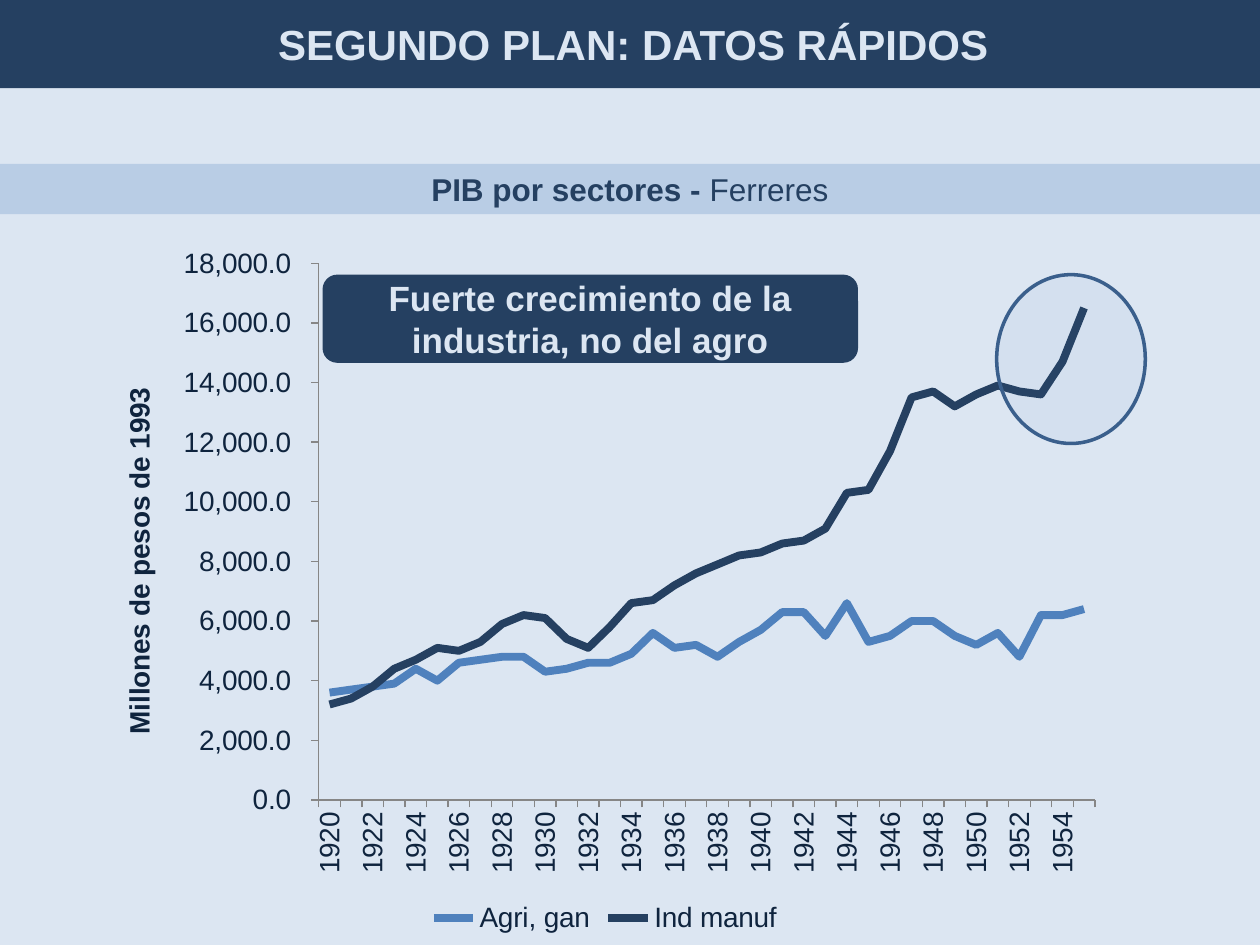
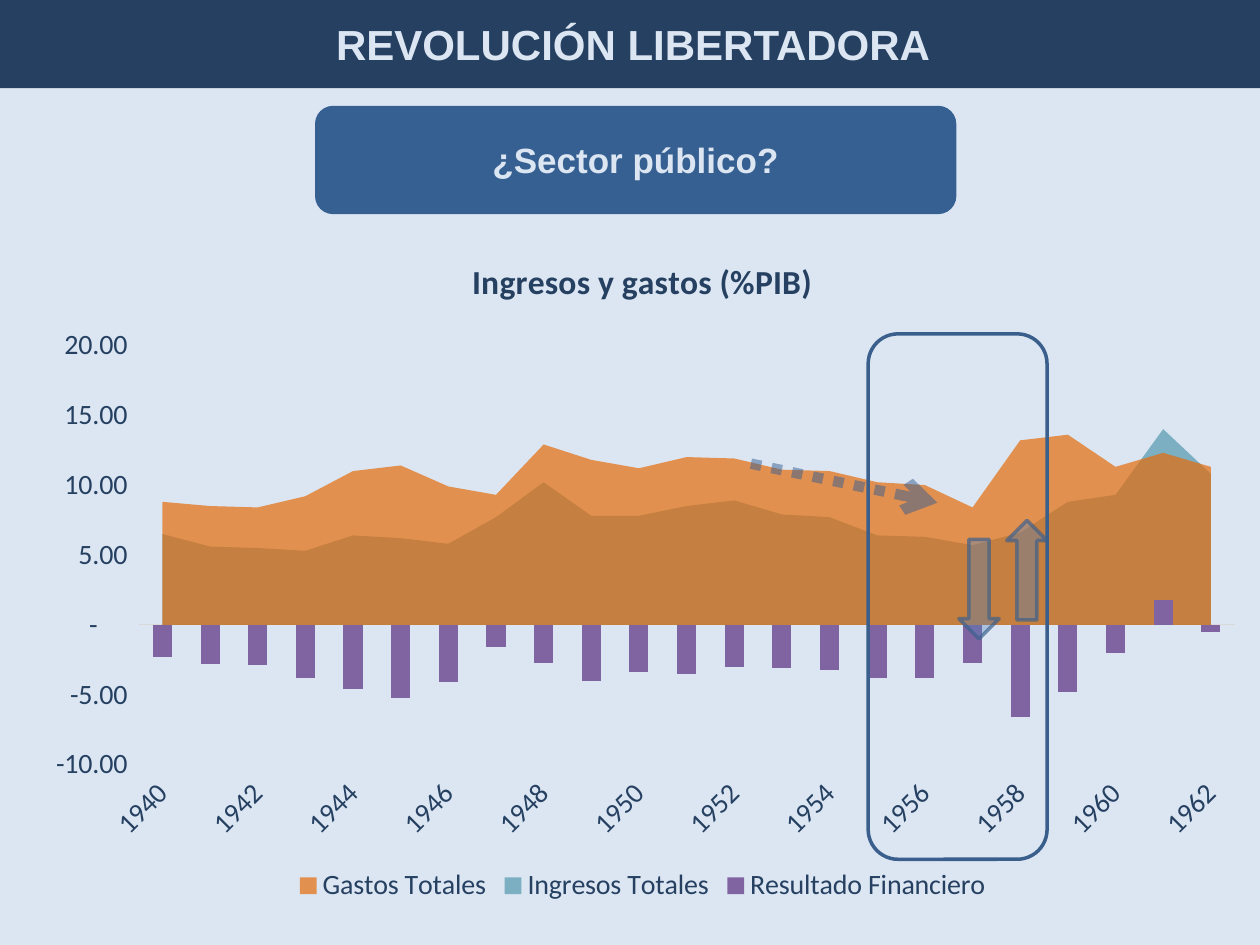
from copy import deepcopy

from lxml import etree
from pptx import Presentation
from pptx.chart.data import CategoryChartData as Data
from pptx.dml.color import RGBColor
from pptx.enum.chart import XL_CHART_TYPE as Kind
from pptx.enum.chart import XL_LEGEND_POSITION as Spot
from pptx.enum.chart import XL_MARKER_STYLE as Mark
from pptx.enum.chart import XL_TICK_LABEL_POSITION as Labels
from pptx.enum.chart import XL_TICK_MARK as Tick
from pptx.enum.dml import MSO_LINE as Dash
from pptx.enum.shapes import MSO_CONNECTOR as Link
from pptx.enum.shapes import MSO_SHAPE as Form
from pptx.enum.text import MSO_ANCHOR as Anchor
from pptx.enum.text import PP_ALIGN as Align
from pptx.oxml import parse_xml
from pptx.oxml.ns import nsdecls, qn
from pptx.util import Inches, Pt

PALE, SKY, BLUE, MID = "DCE6F2", "B9CDE5", "4F81BD", "376092"
NAVY, INK, EDGE, GRAY = "254061", "0F243E", "3A5F8C", "868686"

AGRO = [3600, 3700, 3800, 3900, 4400, 4000, 4600, 4700, 4800, 4800, 4300, 4400,
        4600, 4600, 4900, 5600, 5100, 5200, 4800, 5300, 5700, 6300, 6300, 5500,
        6600, 5300, 5500, 6000, 6000, 5500, 5200, 5600, 4800, 6200, 6200, 6400]
MANUF = [3200, 3400, 3800, 4400, 4700, 5100, 5000, 5300, 5900, 6200, 6100, 5400,
         5100, 5800, 6600, 6700, 7200, 7600, 7900, 8200, 8300, 8600, 8700, 9100,
         10300, 10400, 11700, 13500, 13700, 13200, 13600, 13900, 13700, 13600,
         14700, 16500]
SPEND = [8.8, 8.5, 8.4, 9.2, 11, 11.4, 9.9, 9.3, 12.9, 11.8, 11.2, 12, 11.9,
         11.1, 11, 10.2, 10, 8.4, 13.2, 13.6, 11.3, 12.3, 11.3]
INCOME = [6.5, 5.6, 5.5, 5.3, 6.4, 6.2, 5.8, 7.7, 10.2, 7.8, 7.8, 8.5, 8.9,
          7.9, 7.7, 6.4, 6.3, 5.7, 6.6, 8.8, 9.3, 14, 10.8]
RESULT = [-2.3, -2.8, -2.9, -3.8, -4.6, -5.2, -4.1, -1.6, -2.7, -4, -3.4, -3.5,
          -3, -3.1, -3.2, -3.8, -3.8, -2.7, -6.6, -4.8, -2, 1.8, -0.5]


def rgb(code):
    return RGBColor.from_string(code)


def put(item, **vals):
    """Set several attributes of an object."""
    for key, val in vals.items():
        setattr(item, key, val)


def style(font, color, size, name="Arial", bold=False):
    put(font, size=Pt(size), name=name, bold=bold)
    font.color.rgb = rgb(color)


def paint(fill, color):
    fill.solid()
    fill.fore_color.rgb = rgb(color)


def fade(node, pct):
    """Make the colour inside an XML node partly opaque."""
    tone = node.find(".//" + qn("a:srgbClr"))
    etree.SubElement(tone, qn("a:alpha")).set("val", str(pct * 1000))


def draw(line, color, width):
    line.color.rgb = rgb(color)
    line.width = Pt(width)


def add_form(slide, form, box, fill=None, clear=None, edge=None, haze=None):
    """Add a shape; clear and haze are the opacities of fill and outline."""
    shape = slide.shapes.add_shape(form, *map(Inches, box))
    shape.shadow.inherit = False
    props = shape._element.spPr
    if fill:
        paint(shape.fill, fill)
    else:
        shape.fill.background()
    if clear:
        fade(props.find(qn("a:solidFill")), clear)
    if edge:
        draw(shape.line, edge, 2)
    else:
        shape.line.fill.background()
    if haze:
        fade(props.find(qn("a:ln")), haze)
    return shape


def write(shape, parts, color, size):
    """Fill a shape with centred (text, bold) parts."""
    frame = shape.text_frame
    put(frame, word_wrap=True, vertical_anchor=Anchor.MIDDLE)
    para = frame.paragraphs[0]
    para.alignment = Align.CENTER
    for text, bold in parts:
        run = para.add_run()
        run.text = text
        style(run.font, color, size, bold=bold)


def add_label(slide, text, box, fill, size=20):
    shape = add_form(slide, Form.ROUNDED_RECTANGLE, box, fill)
    write(shape, [(text, True)], PALE, size)
    return shape


def add_page(deck):
    slide = deck.slides.add_slide(deck.slide_layouts[6])
    paint(slide.background.fill, PALE)
    return slide


def add_head(slide, text):
    bar = add_label(slide, text, (0, 0, 10.05, 0.7), NAVY, 24)
    bar.adjustments[0] = 0


def add_plot(slide, kind, box, start, series, color, name):
    """Add a chart by year with a bottom legend."""
    data = Data()
    data.categories = [str(start + i) for i in range(len(series[0][1]))]
    for label, vals in series:
        data.add_series(label, vals)
    chart = slide.shapes.add_chart(kind, *map(Inches, box), data).chart
    chart.has_title = False
    style(chart.font, color, 16, name)
    chart.has_legend = True
    put(chart.legend, position=Spot.BOTTOM, include_in_layout=False)
    style(chart.legend.font, color, 16, name)
    chart.plots[0].vary_by_categories = False
    return chart


def frame_plot(chart, box, area):
    """Place the inner plot area, both boxes in slide inches."""
    left, top, wide, high = box
    x, y, w, h = area
    parts = dict(x=(x - left) / wide, y=(y - top) / high, w=w / wide, h=h / high)
    sizes = "".join(f'<c:{k} val="{v:.4f}"/>' for k, v in parts.items())
    plot = chart._chartSpace.chart.plotArea
    for old in plot.findall(qn("c:layout")):
        plot.remove(old)
    plot.insert(0, parse_xml(
        f'<c:layout {nsdecls("c")}><c:manualLayout><c:layoutTarget val="inner"/>'
        f'<c:xMode val="edge"/><c:yMode val="edge"/>{sizes}'
        '</c:manualLayout></c:layout>'))


def set_axes(chart, scale, code, turn, tick, color, name):
    """Scale is (low, high, step); turn is the angle of the years."""
    years, vals = chart.category_axis, chart.value_axis
    for axis in (years, vals):
        put(axis, has_major_gridlines=False, major_tick_mark=tick,
            minor_tick_mark=Tick.NONE)
        style(axis.tick_labels.font, color, 16, name)
    low, high, step = scale
    put(vals, minimum_scale=low, maximum_scale=high, major_unit=step)
    put(vals.tick_labels, number_format=code, number_format_is_linked=False)
    node = years._element
    node.txPr.find(qn("a:bodyPr")).set("rot", str(turn * 60000))
    skip = parse_xml(f'<c:tickLblSkip {nsdecls("c")} val="2"/>')
    node.find(qn("c:noMultiLvlLbl")).addprevious(skip)
    node = vals._element
    for old in node.findall(qn("c:crossBetween")):
        node.remove(old)
    cross = parse_xml(f'<c:crossBetween {nsdecls("c")} val="between"/>')
    node.find(qn("c:crosses")).addnext(cross)


def set_title(item, text, color, size, name):
    item.has_title = True
    title = item.chart_title if hasattr(item, "chart_title") else item.axis_title
    run = title.text_frame.paragraphs[0].add_run()
    run.text = text
    style(run.font, color, size, name, True)


def to_bars(chart):
    """Turn the last area series into columns on the same axes."""
    area = chart.plots[0]._element
    last = area.findall(qn("c:ser"))[-1]
    bars = parse_xml(
        f'<c:barChart {nsdecls("c")}><c:barDir val="col"/>'
        '<c:grouping val="clustered"/><c:varyColors val="0"/>'
        '<c:gapWidth val="150"/></c:barChart>')
    bars.insert(3, last)
    for old in last.findall(qn("c:invertIfNegative")):
        last.remove(old)
    keep = parse_xml(f'<c:invertIfNegative {nsdecls("c")} val="0"/>')
    last.find(qn("c:spPr")).addnext(keep)
    bars.extend([deepcopy(i) for i in area.findall(qn("c:axId"))])
    area.addnext(bars)


def add_arrow(slide, start, end, color, width, clear):
    link = slide.shapes.add_connector(
        Link.STRAIGHT, *map(Inches, (*start, *end)))
    draw(link.line, color, width)
    link.line.dash_style = Dash.ROUND_DOT
    props = link._element.spPr
    line = props.find(qn("a:ln"))
    fade(line, clear)
    etree.SubElement(line, qn("a:tailEnd")).set("type", "arrow")
    etree.SubElement(props, qn("a:effectLst"))


def build_sectors(deck):
    slide = add_page(deck)
    box = (0.75, 1.86, 8.11, 5.59)
    chart = add_plot(slide, Kind.LINE, box, 1920,
                     [("Agri, gan", AGRO), ("Ind manuf", MANUF)], INK, "Arial")
    frame_plot(chart, box, (2.53, 2.09, 6.16, 4.26))
    set_axes(chart, (0, 18000, 2000), r"#,##0.0\ \ ", -90, Tick.OUTSIDE,
             INK, "Arial")
    set_title(chart.value_axis, "Millones de pesos de 1993", INK, 16, "Arial")
    for axis in (chart.category_axis, chart.value_axis):
        draw(axis.format.line, GRAY, 0.75)
    for ser, color in zip(chart.plots[0].series, (BLUE, NAVY)):
        ser.smooth = False
        ser.marker.style = Mark.NONE
        draw(ser.format.line, color, 4.5)

    band = add_form(slide, Form.RECTANGLE, (0, 1.3, 10, 0.4), SKY)
    write(band, [("PIB por sectores - ", True), ("Ferreres", False)], NAVY, 18)
    add_form(slide, Form.OVAL, (7.91, 2.18, 1.18, 1.34), BLUE, 5, EDGE)
    add_label(slide, "Fuerte crecimiento de la industria, no del agro",
              (2.56, 2.18, 4.25, 0.7), NAVY)
    add_head(slide, "SEGUNDO PLAN: DATOS RÁPIDOS")


def build_budget(deck):
    slide = add_page(deck)
    add_label(slide, "¿Sector público?", (2.5, 0.84, 5.09, 0.86), MID)
    box = (0.2, 1.84, 9.8, 5.37)
    chart = add_plot(slide, Kind.AREA, box, 1940,
                     [("Gastos Totales", SPEND), ("Ingresos Totales", INCOME),
                      ("Resultado Financiero", RESULT)], NAVY, "Calibri")
    frame_plot(chart, box, (1.1, 2.74, 8.7, 3.33))
    set_axes(chart, (-10, 20, 5),
             r'_ * #,##0.00_ ;_ * \-#,##0.00_ ;_ * "-"??_ ;_ @_ ', -45,
             Tick.NONE, NAVY, "Calibri")
    set_title(chart, "Ingresos y gastos (%PIB)", NAVY, 19.2, "Calibri")
    chart.category_axis.tick_label_position = Labels.LOW
    draw(chart.category_axis.format.line, "D9D9D9", 0.75)
    chart.value_axis.format.line.fill.background()
    tones = [("E46C0A", 70), ("31859C", 56), ("8064A2", 100)]
    for ser, (color, clear) in zip(chart.plots[0].series, tones):
        paint(ser.format.fill, color)
        fade(ser._element.find(qn("c:spPr")), clear)
    to_bars(chart)

    add_form(slide, Form.ROUNDED_RECTANGLE, (6.89, 2.65, 1.42, 4.17), edge=EDGE)
    add_head(slide, "REVOLUCIÓN LIBERTADORA")
    add_arrow(slide, (5.96, 3.68), (7.44, 3.99), MID, 6, 50)
    for form, left, top in ((Form.DOWN_ARROW, 7.61, 4.28),
                            (Form.UP_ARROW, 7.99, 4.13)):
        add_form(slide, form, (left, top, 0.32, 0.79), BLUE, 36, EDGE, 66)


def main():
    deck = Presentation()
    put(deck, slide_width=Inches(10), slide_height=Inches(7.5))
    build_sectors(deck)
    build_budget(deck)
    deck.save("out.pptx")


if __name__ == "__main__":
    main()
